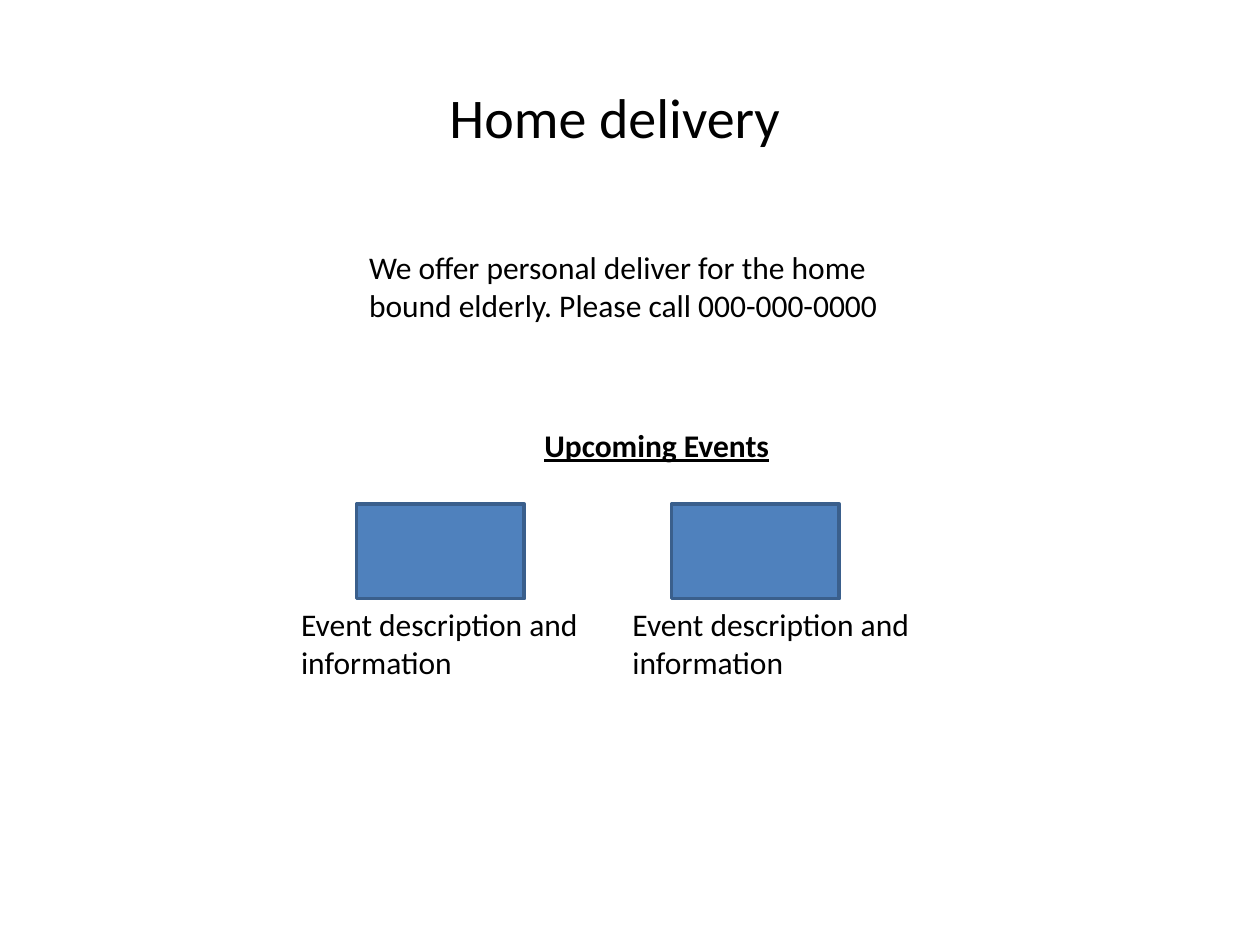
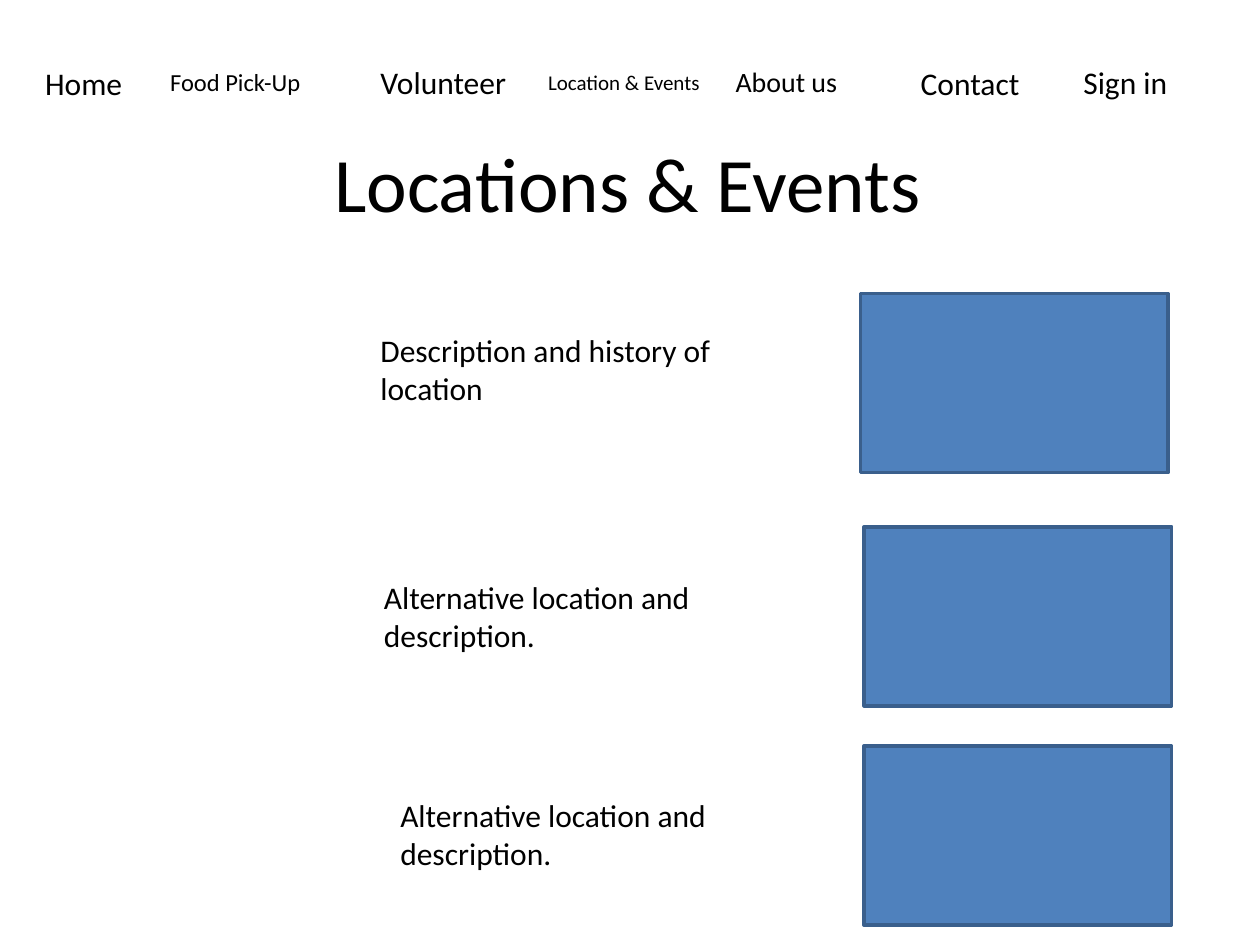
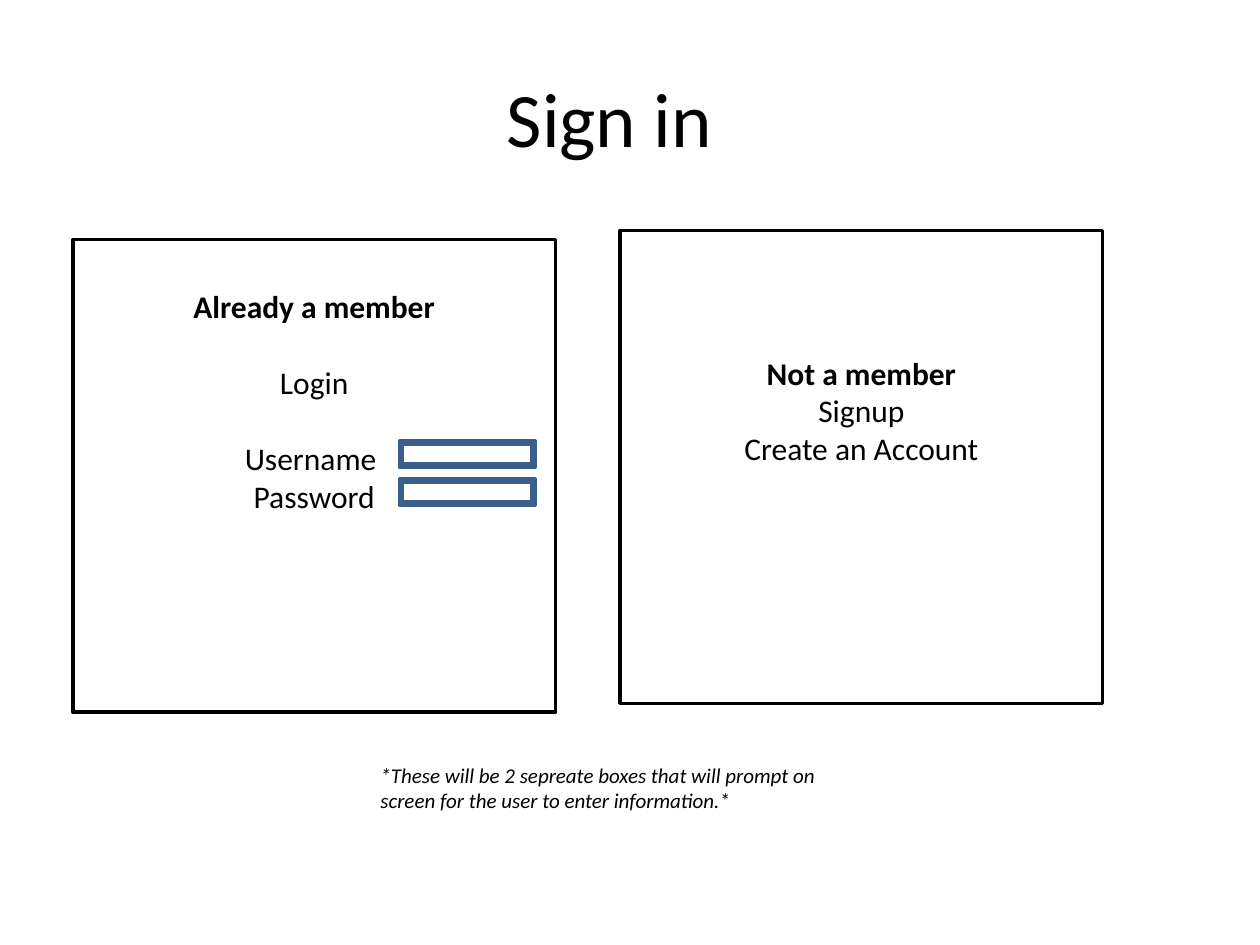
from pptx import Presentation
from pptx.dml.color import RGBColor
from pptx.enum.shapes import MSO_SHAPE as Preset
from pptx.enum.text import MSO_ANCHOR as Anchor, MSO_AUTO_SIZE as AutoSize, PP_ALIGN as Align
from pptx.util import Cm, Pt

FONT = "Calibri"
BLACK, WHITE, BLUE, DARK_BLUE = "000000", "FFFFFF", "4F81BD", "3A5F8C"
BODY_SIZE = 18
CM_PER_LINE_POINT = 0.0423
TEXT_INSETS = 0.25


def color(hex_value):
    return RGBColor.from_string(hex_value)


def style_paragraph(paragraph, size=BODY_SIZE, align=Align.LEFT, bold=False,
                    italic=False, underline=False):
    paragraph.alignment = align
    font = paragraph.font
    font.name = FONT
    font.size = Pt(size)
    font.bold = bold
    font.italic = italic
    font.underline = underline
    font.color.rgb = color(BLACK)


def add_titled_slide(presentation, title, left, top, width, height, size=44):
    slide = presentation.slides.add_slide(presentation.slide_layouts[5])
    shape = slide.shapes.title
    shape.left, shape.top = Cm(left), Cm(top)
    shape.width, shape.height = Cm(width), Cm(height)
    frame = shape.text_frame
    frame.text = title
    frame.vertical_anchor = Anchor.MIDDLE
    style_paragraph(frame.paragraphs[0], size, Align.CENTER)
    return slide


def add_text(slide, text, left, top, width, lines=1, size=BODY_SIZE, **style):
    height = lines * size * CM_PER_LINE_POINT + TEXT_INSETS
    shape = slide.shapes.add_textbox(Cm(left), Cm(top), Cm(width), Cm(height))
    frame = shape.text_frame
    frame.word_wrap = True
    frame.auto_size = AutoSize.SHAPE_TO_FIT_TEXT
    frame.text = text
    style_paragraph(frame.paragraphs[0], size, **style)


def add_block(slide, left, top, width, height, fill=BLUE, line=DARK_BLUE,
              preset=Preset.RECTANGLE):
    shape = slide.shapes.add_shape(preset, Cm(left), Cm(top), Cm(width), Cm(height))
    shape.shadow.inherit = False
    shape.fill.solid()
    shape.fill.fore_color.rgb = color(fill)
    shape.line.color.rgb = color(line)
    shape.line.width = Pt(2)
    return shape


def add_member_panel(slide, left, top, text_inset, heading, entries):
    frame = add_block(slide, left, top, 9.73, 9.53, WHITE, BLACK).text_frame
    frame.vertical_anchor = Anchor.TOP
    frame.margin_top = Cm(text_inset)
    frame.text = heading
    style_paragraph(frame.paragraphs[0], align=Align.CENTER, bold=True)
    for text, space_before in entries:
        paragraph = frame.add_paragraph()
        paragraph.text = text
        paragraph.space_before = Pt(space_before)
        style_paragraph(paragraph, align=Align.CENTER)


def add_navigation(slide):
    for label, left, top, width, size in (
        ("Home", 0.66, 1.17, 3.38, 18),
        ("Food Pick-Up", 3.18, 1.22, 3.81, 14),
        ("Volunteer", 7.42, 1.14, 3.38, 18),
        ("Location & Events", 10.8, 1.27, 3.73, 12),
        ("About us", 14.58, 1.17, 3.38, 16),
        ("Contact", 18.31, 1.17, 3.38, 18),
        ("Sign in", 21.59, 1.14, 3.38, 18),
    ):
        add_text(slide, label, left, top, width, size=size)


def build_home_delivery(presentation):
    slide = add_titled_slide(presentation, "Home delivery", 5.51, 0.76, 13.77, 3.18, 32)
    add_text(slide, "We offer personal deliver for the home bound elderly. "
             "Please call 000-000-0000", 7.19, 4.88, 12.07, lines=2)
    add_text(slide, "Upcoming Events", 8.26, 8.46, 9.96,
             align=Align.CENTER, bold=True, underline=True)
    for block_left, text_left in ((7.19, 5.82), (13.54, 12.5)):
        add_block(slide, block_left, 10.16, 3.38, 1.91)
        add_text(slide, "Event description and information", text_left, 12.07, 6.15, lines=2)


def build_locations(presentation):
    slide = add_titled_slide(presentation, "Locations & Events", 1.22, 2.29, 22.86, 2.74)
    add_navigation(slide)
    alternative = "Alternative location and description."
    for text, text_left, text_top, block_left, block_top in (
        ("Description and history of location", 7.42, 6.55, 17.35, 5.92),
        (alternative, 7.49, 11.53, 17.42, 10.62),
        (alternative, 7.82, 15.93, 17.42, 15.04),
    ):
        add_text(slide, text, text_left, text_top, 8.84, lines=2)
        add_block(slide, block_left, block_top, 6.2, 3.61)


def build_sign_in(presentation):
    slide = add_titled_slide(presentation, "Sign in", 4.88, 0.76, 14.81, 3.18)
    add_member_panel(slide, 1.47, 4.83, 0.95, "Already a member",
                     (("Login", 22), ("Username ", 22), ("Password", 0)))
    add_member_panel(slide, 12.5, 4.65, 2.48, "Not a member",
                     (("Signup", 0), ("Create an Account", 0)))
    for field_top in (8.89, 9.65):
        add_block(slide, 8.05, field_top, 2.74, 0.53, preset=Preset.FRAME)
    add_text(slide, "*These will be 2 sepreate boxes that will prompt on screen "
             "for the user to enter information.*", 7.42, 15.24, 10.36,
             lines=2, size=12, italic=True)


def main():
    presentation = Presentation()
    presentation.slide_width = Cm(25.4)
    presentation.slide_height = Cm(19.05)
    build_home_delivery(presentation)
    build_locations(presentation)
    build_sign_in(presentation)
    presentation.save("out.pptx")


if __name__ == "__main__":
    main()
